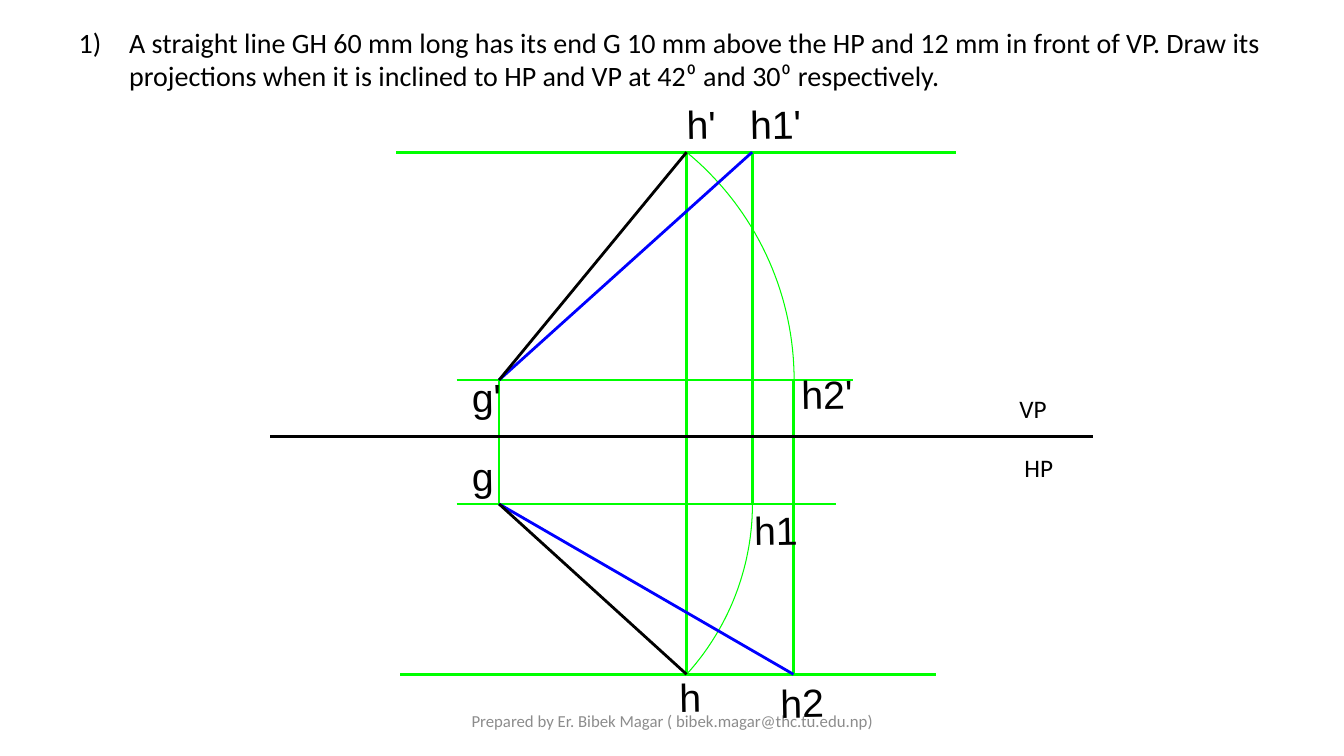
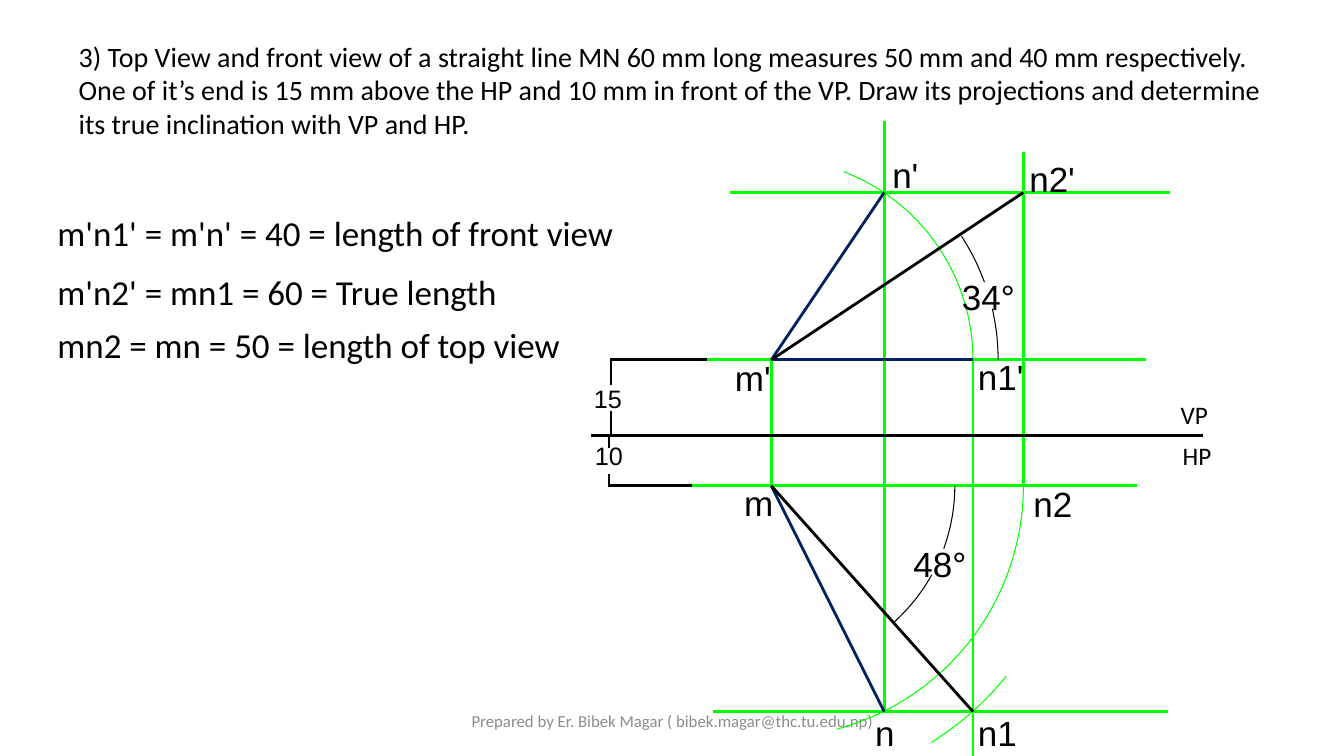
from math import atan2, cos, degrees, dist, radians, sin

from lxml import etree
from pptx import Presentation
from pptx.dml.color import RGBColor
from pptx.enum.shapes import MSO_CONNECTOR, PP_PLACEHOLDER
from pptx.enum.text import MSO_ANCHOR, MSO_AUTO_SIZE, PP_ALIGN
from pptx.oxml.ns import qn
from pptx.util import Pt

PX = 9144
STRAIGHT = MSO_CONNECTOR.STRAIGHT
FOOTER = PP_PLACEHOLDER.FOOTER
TOP, MIDDLE = MSO_ANCHOR.TOP, MSO_ANCHOR.MIDDLE
LEFT, CENTER = PP_ALIGN.LEFT, PP_ALIGN.CENTER
NO_FIT, GROW = MSO_AUTO_SIZE.NONE, MSO_AUTO_SIZE.SHAPE_TO_FIT_TEXT

BLACK, GREEN, BLUE, NAVY, GRAY = "000000", "00FF00", "0000FF", "002060", "8C8C8C"
TITLE_FONT = {"name": "Calibri", "size": Pt(20), "bold": False}
FOOTER_FONT = {"name": "Calibri", "size": Pt(12)}
PLANE_FONT = {"name": "Calibri", "size": Pt(18)}
FORMULA_FONT = {"name": "Calibri", "size": Pt(25)}
DIMENSION_FONT = {"name": "Arial", "size": Pt(18)}
POINT_FONT = {"name": "Arial", "size": Pt(25)}
LARGE_POINT_FONT = {"name": "Arial", "size": Pt(28)}
ZERO_MARGINS = dict.fromkeys(
    ("margin_left", "margin_top", "margin_right", "margin_bottom"), 0)
FOOTER_TEXT = "Prepared by Er. Bibek Magar ( bibek.magar@thc.tu.edu.np)"


def color(value):
    return RGBColor.from_string(value)


def apply(target, values):
    for name, value in values.items():
        setattr(target, name, value)


def place(shape, left, top, width, height):
    apply(shape, {"left": left * PX, "top": top * PX,
                  "width": width * PX, "height": height * PX})


def write(paragraph, text, font, text_color=BLACK, align=LEFT):
    paragraph.alignment = align
    run = paragraph.add_run()
    run.text = text
    apply(run.font, font)
    run.font.color.rgb = color(text_color)


def set_bullet(paragraph, tag, indent=0, **attributes):
    properties = paragraph._p.get_or_add_pPr()
    properties.set("marL", str(indent * PX))
    properties.set("indent", str(-indent * PX))
    etree.SubElement(properties, qn(tag), attributes)


def add_footer(slide):
    for source in slide.slide_layout.placeholders:
        if source.placeholder_format.type == FOOTER:
            slide.shapes.clone_placeholder(source)
    footer = slide.shapes[-1]
    place(footer, 442, 695, 450, 40)
    apply(footer.text_frame, {"vertical_anchor": MIDDLE, "word_wrap": True})
    write(footer.text_frame.paragraphs[0], FOOTER_TEXT, FOOTER_FONT, GRAY, CENTER)


def add_question_slide(presentation, layout_index, question, top, height, numbered=False):
    slide = presentation.slides.add_slide(presentation.slide_layouts[layout_index])
    title = slide.shapes.title
    place(title, 68, top, 1215, height)
    apply(title.text_frame, {"vertical_anchor": TOP, "auto_size": NO_FIT,
                             "word_wrap": True})
    paragraph = title.text_frame.paragraphs[0]
    if numbered:
        set_bullet(paragraph, "a:buAutoNum", 50, type="arabicParenR")
    write(paragraph, question, TITLE_FONT)
    add_footer(slide)
    return slide


def add_formulas(slide, formulas):
    body = slide.placeholders[1]
    place(body, 57, 210, 557, 153)
    apply(body.text_frame, {"vertical_anchor": TOP, "auto_size": NO_FIT,
                            "word_wrap": True, **ZERO_MARGINS})
    for index, (text, space) in enumerate(formulas):
        frame = body.text_frame
        paragraph = frame.add_paragraph() if index else frame.paragraphs[0]
        set_bullet(paragraph, "a:buNone")
        paragraph.space_before = Pt(space)
        write(paragraph, text, FORMULA_FONT)


def add_lines(slide, line_color, segments):
    for start, end in segments:
        line = slide.shapes.add_connector(
            STRAIGHT, *(value * PX for value in (*start, *end)))
        line.line.color.rgb = color(line_color)
        line.line.width = 0
        etree.SubElement(line._element.spPr, qn("a:effectLst"))


def add_outline(slide, points, closed):
    scaled = [(round(x * PX), round(y * PX)) for x, y in points]
    builder = slide.shapes.build_freeform(*scaled[0], scale=1.0)
    builder.add_line_segments(scaled[1:], close=closed)
    shape = builder.convert_to_shape()
    shape.shadow.inherit = False
    return shape


def add_arc(slide, line_color, center, radius, first, last):
    steps = max(8, round(abs(last - first) / 1.5))
    angles = [radians(first + (last - first) * i / steps) for i in range(steps + 1)]
    points = [(center[0] + radius * cos(a), center[1] + radius * sin(a)) for a in angles]
    arc = add_outline(slide, points, False)
    arc.fill.background()
    arc.line.color.rgb = color(line_color)
    arc.line.width = 0


def add_swing(slide, center, end):
    angle = degrees(atan2(end[1] - center[1], end[0] - center[0]))
    add_arc(slide, GREEN, center, dist(center, end), 0, angle)


def add_tips(slide, points):
    for x, y in points:
        tip = add_outline(slide, [(x, y), (x + 1, y), (x, y + 1)], True)
        tip.fill.solid()
        tip.fill.fore_color.rgb = color(BLACK)
        tip.line.fill.background()


def add_labels(slide, font, height, labels, rotation=0):
    for text, left, top, width in labels:
        box = slide.shapes.add_textbox(0, 0, 0, 0)
        place(box, left, top, width, height)
        box.rotation = rotation
        apply(box.text_frame, {"word_wrap": False, "auto_size": GROW, **ZERO_MARGINS})
        write(box.text_frame.paragraphs[0], text, font)


def build_line_gh(presentation):
    slide = add_question_slide(
        presentation, 5,
        "A straight line GH 60 mm long has its end G 10 mm above the HP and 12 mm in "
        "front of VP. Draw its projections when it is inclined to HP and VP at 42⁰ and "
        "30⁰ respectively.", 20, 77, numbered=True)
    g_front, g_top = (495, 377), (495, 500)
    h_front, h_top = (681, 151), (681, 669)
    h1_front, h1_top = (746, 151), (746, 500)
    h2_front, h2_top = (787, 377), (787, 669)
    add_lines(slide, GREEN, [
        ((453, 500), (829, 500)), ((453, 377), (846, 377)),
        ((948, 151), (393, 151)), ((928, 669), (397, 669)),
        (g_front, g_top), (h1_front, h1_top), (h2_top, h2_front), (h_top, h_front)])
    add_swing(slide, g_front, h_front)
    add_swing(slide, g_top, h_top)
    add_lines(slide, BLUE, [(g_front, h1_front), (g_top, h2_top)])
    add_lines(slide, BLACK, [
        ((268, 433), (1084, 433)), (g_front, h_front), (g_top, h_top)])
    add_labels(slide, LARGE_POINT_FONT, 54, [
        ("g'", 468, 370, 29), ("g", 468, 448, 40), ("h'", 681, 99, 48),
        ("h1'", 744, 99, 70), ("h1", 748, 502, 62), ("h2'", 795, 367, 70),
        ("h", 674, 668, 40), ("h2", 774, 673, 62)], rotation=359)
    add_labels(slide, PLANE_FONT, 30, [("VP", 1011, 390, 49), ("HP", 1016, 449, 49)])


def build_line_mn(presentation):
    slide = add_question_slide(
        presentation, 1,
        "3) Top View and front view of a straight line MN 60 mm long measures 50 mm and "
        "40 mm respectively. One of it’s end is 15 mm above the HP and 10 mm in front of "
        "the VP. Draw its projections and determine its true inclination with VP and HP.",
        34, 111)
    m_front, m_top = (765, 357), (765, 482)
    n_front, n_top = (877, 191), (877, 706)
    n1_front, n1_top = (965, 357), (965, 706)
    n2_front = (1015, 191)
    add_lines(slide, GREEN, [
        (m_front, m_top), ((701, 357), (1137, 357)), ((686, 482), (1128, 482)),
        (n1_front, (965, 750)), ((1158, 706), (707, 706)), (n_top, (877, 120)),
        ((724, 191), (1160, 191)), ((1015, 482), (1015, 151))])
    for center, radius, first, last in [
            (m_top, 300, 58, 39), (m_top, 250, 0, 75), (m_front, 200, 0, -69)]:
        add_arc(slide, GREEN, center, radius, first, last)
    add_lines(slide, NAVY, [(m_front, n1_front), (m_front, n_front), (m_top, n_top)])
    add_lines(slide, BLACK, [
        ((586, 432), (1193, 432)), (m_top, n1_top), (m_front, n2_front),
        ((701, 357), (605, 357)), ((606, 358), (606, 382)), ((606, 431), (606, 408)),
        ((686, 482), (603, 482)), ((604, 481), (604, 470)), ((604, 433), (604, 444))])
    for center, radius, first, last in [
            (m_front, 225, 0, -13), (m_front, 225, -20, -33),
            (m_top, 182, 0, 20), (m_top, 182, 29, 48)]:
        add_arc(slide, BLACK, center, radius, first, last)
    add_tips(slide, [(605, 357), (605, 431), (604, 481), (604, 432),
                     (990, 356), (952, 233), (886, 618), (947, 482)])
    add_labels(slide, POINT_FONT, 48, [
        ("m'", 729, 354, 53), ("n1'", 970, 353, 63), ("n'", 885, 152, 43),
        ("n2'", 1021, 156, 63), ("m", 738, 478, 46), ("n", 868, 706, 36),
        ("n1", 970, 706, 56), ("n2", 1025, 479, 56),
        ("34°", 954, 273, 71), ("48°", 906, 538, 71)])
    add_labels(slide, DIMENSION_FONT, 30, [("15", 589, 380, 28), ("10", 590, 437, 28)])
    add_labels(slide, PLANE_FONT, 30, [("VP", 1171, 396, 44), ("HP", 1173, 437, 29)])
    add_formulas(slide, [
        ("m'n1' = m'n' = 40 = length of front view", 0),
        ("m'n2' = mn1 = 60 = True length", 12),
        ("mn2 = mn = 50 = length of top view", 8)])


def main():
    presentation = Presentation()
    presentation.slide_width = 1333 * PX
    presentation.slide_height = 750 * PX
    build_line_gh(presentation)
    build_line_mn(presentation)
    presentation.save("out.pptx")


if __name__ == "__main__":
    main()
